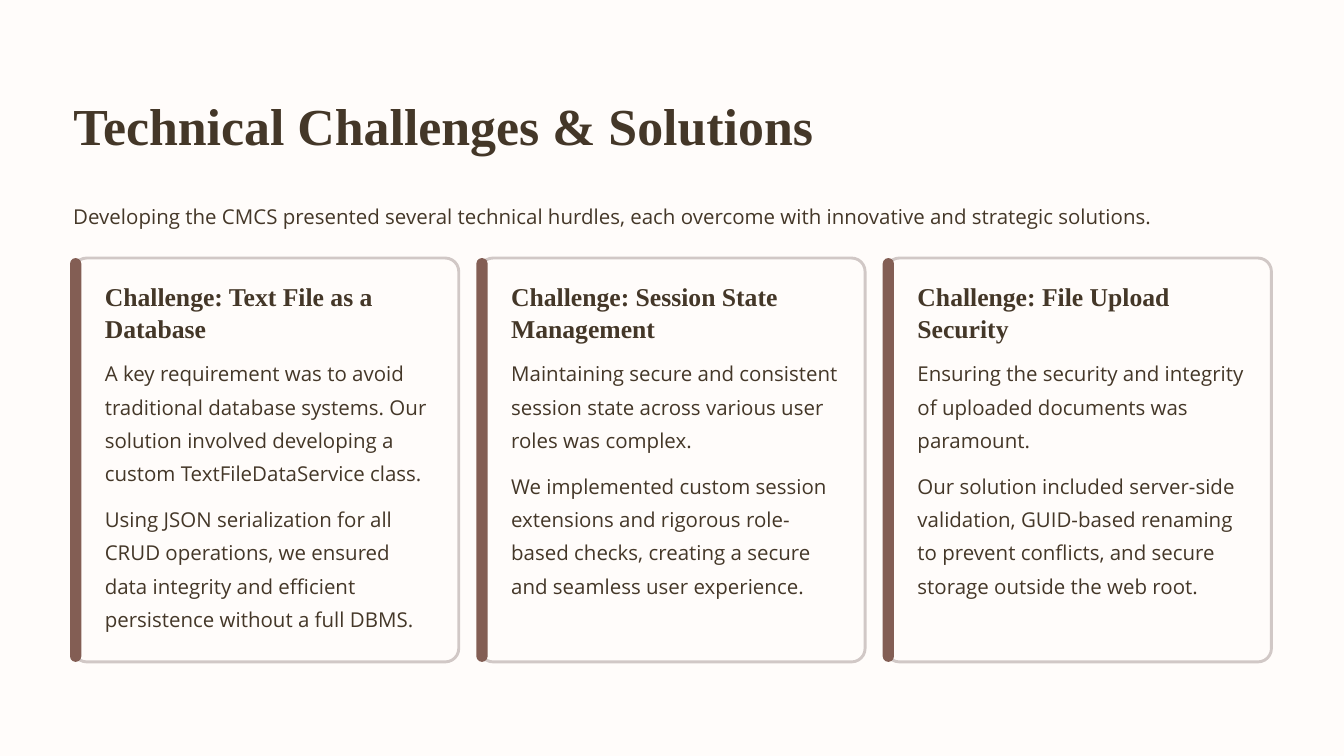
from pptx import Presentation
from pptx import util as u
from pptx.dml.color import RGBColor
from pptx.enum import shapes, text

CREAM = RGBColor(0xFF, 0xFC, 0xFA)
INK = RGBColor(0x44, 0x37, 0x28)
EDGE = RGBColor(0xD1, 0xC8, 0xC6)
BROWN = RGBColor(0x83, 0x5E, 0x54)
SERIF, SANS = "Times New Roman", "Open Sans"

# Grid, in percent of the slide's width or height
LEFT, WIDE, GAP = 5.45, 89.15, 1.55
TOP, TALL = 34.13, 53.42
INSET = 2.35
LINE, PAD, SPACE = 4.39, 0.9, 0.8

# Heading, then each paragraph with its number of lines
CARDS = [
    ("Challenge: Text File as a Database", [
        ("A key requirement was to avoid traditional database systems. "
         "Our solution involved developing a custom TextFileDataService class.", 4),
        ("Using JSON serialization for all CRUD operations, we ensured data "
         "integrity and efficient persistence without a full DBMS.", 4)]),
    ("Challenge: Session State Management", [
        ("Maintaining secure and consistent session state across various user "
         "roles was complex.", 3),
        ("We implemented custom session extensions and rigorous role-based "
         "checks, creating a secure and seamless user experience.", 4)]),
    ("Challenge: File Upload Security", [
        ("Ensuring the security and integrity of uploaded documents was "
         "paramount.", 3),
        ("Our solution included server-side validation, GUID-based renaming "
         "to prevent conflicts, and secure storage outside the web root.", 4)]),
]


def write(frame, words, size=21.9, font=SANS, lead=35.6, bold=False):
    """Fill a text frame with one formatted paragraph."""
    frame.word_wrap = True
    frame.auto_size = text.MSO_AUTO_SIZE.SHAPE_TO_FIT_TEXT
    frame.margin_left = frame.margin_right = 0
    frame.margin_top = frame.margin_bottom = 0
    para = frame.paragraphs[0]
    para.line_spacing = u.Pt(lead)
    run = para.add_run()
    run.text = words
    run.font.size = u.Pt(size)
    run.font.name = font
    run.font.bold = bold
    run.font.color.rgb = INK


class Deck:
    def __init__(self):
        self.prs = Presentation()
        self.prs.slide_width = u.Inches(20)
        self.prs.slide_height = u.Inches(11.25)
        self.slide = self.prs.slides.add_slide(self.prs.slide_layouts[6])
        fill = self.slide.background.fill
        fill.solid()
        fill.fore_color.rgb = CREAM

    def area(self, x, y, w, h):
        """Turn percent of the slide into lengths."""
        across, down = self.prs.slide_width / 100, self.prs.slide_height / 100
        return [round(n) for n in (x * across, y * down, w * across, h * down)]

    def label(self, x, y, w, h, words, **style):
        box = self.slide.shapes.add_textbox(*self.area(x, y, w, h))
        write(box.text_frame, words, **style)

    def panel(self, x, y, w, h, color, curve, edge=None):
        box = self.slide.shapes.add_shape(
            shapes.MSO_SHAPE.ROUNDED_RECTANGLE, *self.area(x, y, w, h))
        box.adjustments[0] = curve
        box.shadow.inherit = False
        box.fill.solid()
        box.fill.fore_color.rgb = color
        if edge:
            box.line.color.rgb = edge
            box.line.width = u.Pt(3.1)
        else:
            box.line.fill.background()

    def card(self, x, w, head, paras):
        self.panel(x, TOP, w, TALL, CREAM, 0.035, EDGE)
        self.panel(x - 0.24, TOP, 0.84, TALL, BROWN, 0.5)
        left, width = x + INSET, w - 1.75 * INSET
        self.label(left, 36.98, width, 8.89, head,
                   size=27.5, font=SERIF, lead=34.4, bold=True)
        y = 46.67
        for words, lines in paras:
            high = lines * LINE + PAD
            self.label(left, y, width, high, words)
            y += high + SPACE


def main():
    deck = Deck()

    # Title and introduction
    deck.label(LEFT, 12, 60.25, 8.62, "Technical Challenges & Solutions",
               size=55.6, font=SERIF, lead=69.4, bold=True)
    deck.label(LEFT, 25.78, WIDE, 5.24,
               "Developing the CMCS presented several technical hurdles, each "
               "overcome with innovative and strategic solutions.")

    # Equal cards across the slide
    count = len(CARDS)
    width = (WIDE - (count - 1) * GAP) / count
    for i, (head, paras) in enumerate(CARDS):
        deck.card(LEFT + i * (width + GAP), width, head, paras)

    deck.prs.save("out.pptx")


if __name__ == "__main__":
    main()
